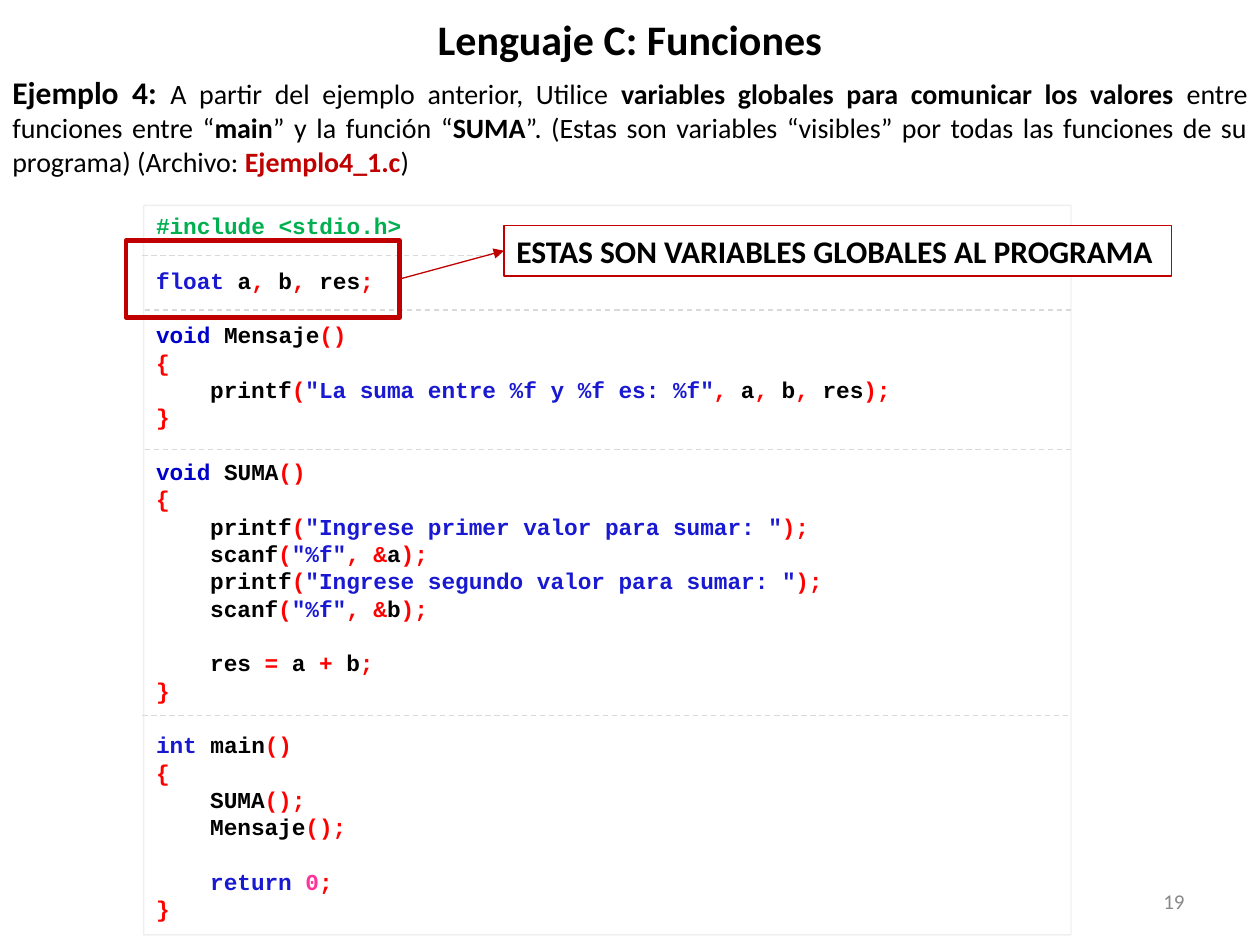
from lxml import etree
from pptx import Presentation
from pptx import util as u
from pptx.dml.color import RGBColor
from pptx.enum import dml, shapes, text
from pptx.oxml.ns import qn

BLACK = RGBColor(0x00, 0x00, 0x00)
WHITE = RGBColor(0xFF, 0xFF, 0xFF)
GRAY = RGBColor(0x88, 0x88, 0x88)
LIGHT = RGBColor(0xD9, 0xD9, 0xD9)
DARK_RED = RGBColor(0xC0, 0x00, 0x00)
RED = RGBColor(0xFF, 0x00, 0x00)
GREEN = RGBColor(0x00, 0xB0, 0x50)
BLUE = RGBColor(0x19, 0x19, 0xD1)
NAVY = RGBColor(0x00, 0x00, 0xCC)
PINK = RGBColor(0xFF, 0x33, 0x99)


def add_runs(paragraph, runs, font="Calibri"):
    for words, size, color, bold in runs:
        run = paragraph.add_run()
        run.text = words
        run.font.color.rgb = color
        values = {"name": font, "size": u.Pt(size), "bold": bold}
        for name, value in values.items():
            setattr(run.font, name, value)


def add_line(parent, start, end, color):
    line = parent.shapes.add_connector(
        shapes.MSO_CONNECTOR.STRAIGHT, *[u.Inches(value) for value in start + end])
    line.line.color.rgb = color
    line.line.width = u.Pt(0.75)
    etree.SubElement(line._element.spPr, qn("a:effectLst"))
    return line


presentation = Presentation()
presentation.slide_width = u.Inches(10)
presentation.slide_height = u.Inches(7.5)
slide = presentation.slides.add_slide(presentation.slide_layouts[6])

intro = [
    ("Ejemplo 4: ", 18, BLACK, True),
    ("A partir del ejemplo anterior, Utilice ", 16, BLACK, False),
    ("variables globales para comunicar los valores ", 16, BLACK, True),
    ("entre funciones entre “", 16, BLACK, False),
    ("main", 16, BLACK, True),
    ("” y la función “", 16, BLACK, False),
    ("SUMA", 16, BLACK, True),
    ("”. (Estas son variables “visibles” por todas las funciones de su "
     "programa) (Archivo: ", 16, BLACK, False),
    ("Ejemplo4_1.c", 16, DARK_RED, True),
    (")", 16, BLACK, False),
]
middle, top = text.MSO_ANCHOR.MIDDLE, text.MSO_ANCHOR.TOP
align = text.PP_ALIGN
boxes = [
    ((7.17, 6.95, 2.33, 0.4), middle, align.RIGHT, [("19", 12, GRAY, False)]),
    ((0.5, 0, 9, 0.62), middle, align.CENTER, [("Lenguaje C: Funciones", 24, BLACK, True)]),
    ((0, 0.53, 10, 0.94), top, align.JUSTIFY, intro),
]
for place, anchor, alignment, runs in boxes:
    box = slide.shapes.add_textbox(*[u.Inches(value) for value in place])
    box.text_frame.word_wrap = True
    box.text_frame.vertical_anchor = anchor
    paragraph = box.text_frame.paragraphs[0]
    paragraph.alignment = alignment
    add_runs(paragraph, runs)

group = slide.shapes.add_group_shape()
frames = {}
for name, parent, place, fill, color, width in [
    ("code", slide, (1.14, 1.63, 7.36, 5.79), None, LIGHT, 0.75),
    ("label", group, (4, 1.79, 5.3, 0.4), WHITE, DARK_RED, 0.75),
    ("highlight", group, (1, 1.91, 2.17, 0.61), None, DARK_RED, 2.75),
]:
    shape = parent.shapes.add_shape(
        shapes.MSO_SHAPE.RECTANGLE, *[u.Inches(value) for value in place])
    shape.shadow.inherit = False
    if fill is None:
        shape.fill.background()
    else:
        shape.fill.solid()
        shape.fill.fore_color.rgb = fill
    shape.line.color.rgb = color
    shape.line.width = u.Pt(width)
    shape.text_frame.vertical_anchor = top
    shape.text_frame.paragraphs[0].alignment = align.LEFT
    frames[name] = shape

line_color = frames["code"].line._ln.find(".//" + qn("a:srgbClr"))
etree.SubElement(line_color, qn("a:alpha"), val="40000")
add_runs(frames["label"].text_frame.paragraphs[0],
         [("ESTAS SON VARIABLES GLOBALES AL PROGRAMA", 18, BLACK, True)])

for left, height in [(1.13, 5.68), (1.15, 2.46), (1.13, 2.03), (1.15, 3.57)]:
    divider = add_line(slide, (left, height), (left + 7.36, height), LIGHT)
    divider.line.dash_style = dml.MSO_LINE.DASH
slide.shapes._spTree.append(group._element)

arrow = add_line(group, (3.17, 2.21), (4, 1.99), DARK_RED)
arrow.begin_connect(frames["highlight"], 3)
arrow.end_connect(frames["label"], 1)
etree.SubElement(arrow.line._ln, qn("a:tailEnd"), type="triangle")

OPEN, CLOSE, COMMA, END = ("(", RED), (");", RED), (",", RED), (";", RED)
CALL, EMPTY = ("();", RED), ("()", RED)
PRINTF, SCANF = ("printf", BLACK), ("scanf", BLACK)
FORMAT, ADDRESS = ('"%f"', BLUE), (", &", RED)
code = [
    (0, 0, [("#include <stdio.h>", GREEN)]),
    (1, 0, [("float ", BLUE), ("a", BLACK), COMMA, (" b", BLACK), COMMA, (" res", BLACK), END]),
    (1, 0, [("void ", NAVY), ("Mensaje", BLACK), EMPTY]),
    (0, 0, [("{", RED)]),
    (0, 1, [PRINTF, OPEN, ('"La suma entre %f y %f es: %f"', BLUE), COMMA, (" a", BLACK),
            COMMA, (" b", BLACK), COMMA, (" res", BLACK), CLOSE]),
    (0, 0, [("}", RED)]),
    (1, 0, [("void ", NAVY), ("SUMA", BLACK), EMPTY]),
    (0, 0, [("{", RED)]),
    (0, 1, [PRINTF, OPEN, ('"Ingrese primer valor para sumar: "', BLUE), CLOSE]),
    (0, 1, [SCANF, OPEN, FORMAT, ADDRESS, ("a", BLACK), CLOSE]),
    (0, 1, [PRINTF, OPEN, ('"Ingrese segundo valor para sumar: "', BLUE), CLOSE]),
    (0, 1, [SCANF, OPEN, FORMAT, ADDRESS, ("b", BLACK), CLOSE]),
    (1, 1, [("res ", BLACK), ("= ", RED), ("a ", BLACK), ("+ ", RED), ("b", BLACK), END]),
    (0, 0, [("}", RED)]),
    (1, 0, [("int", BLUE), (" main", BLACK), EMPTY]),
    (0, 0, [("{", RED)]),
    (0, 1, [("SUMA", BLACK), CALL]),
    (0, 1, [("Mensaje", BLACK), CALL]),
    (1, 1, [("return ", BLUE), ("0", PINK), END]),
    (0, 0, [("}", RED)]),
]
LINE_HEIGHT = 15.63
code_frame = frames["code"].text_frame
for index, (gap, indent, tokens) in enumerate(code):
    paragraph = code_frame.add_paragraph() if index else code_frame.paragraphs[0]
    values = {"alignment": align.LEFT, "line_spacing": u.Pt(LINE_HEIGHT),
              "space_before": u.Pt(gap * LINE_HEIGHT)}
    for name, value in values.items():
        setattr(paragraph, name, value)
    paragraph._p.get_or_add_pPr().set("marL", str(u.Inches(0.43 * indent)))
    add_runs(paragraph, [(words, 13, color, True) for words, color in tokens], "Courier New")

presentation.save("out.pptx")
